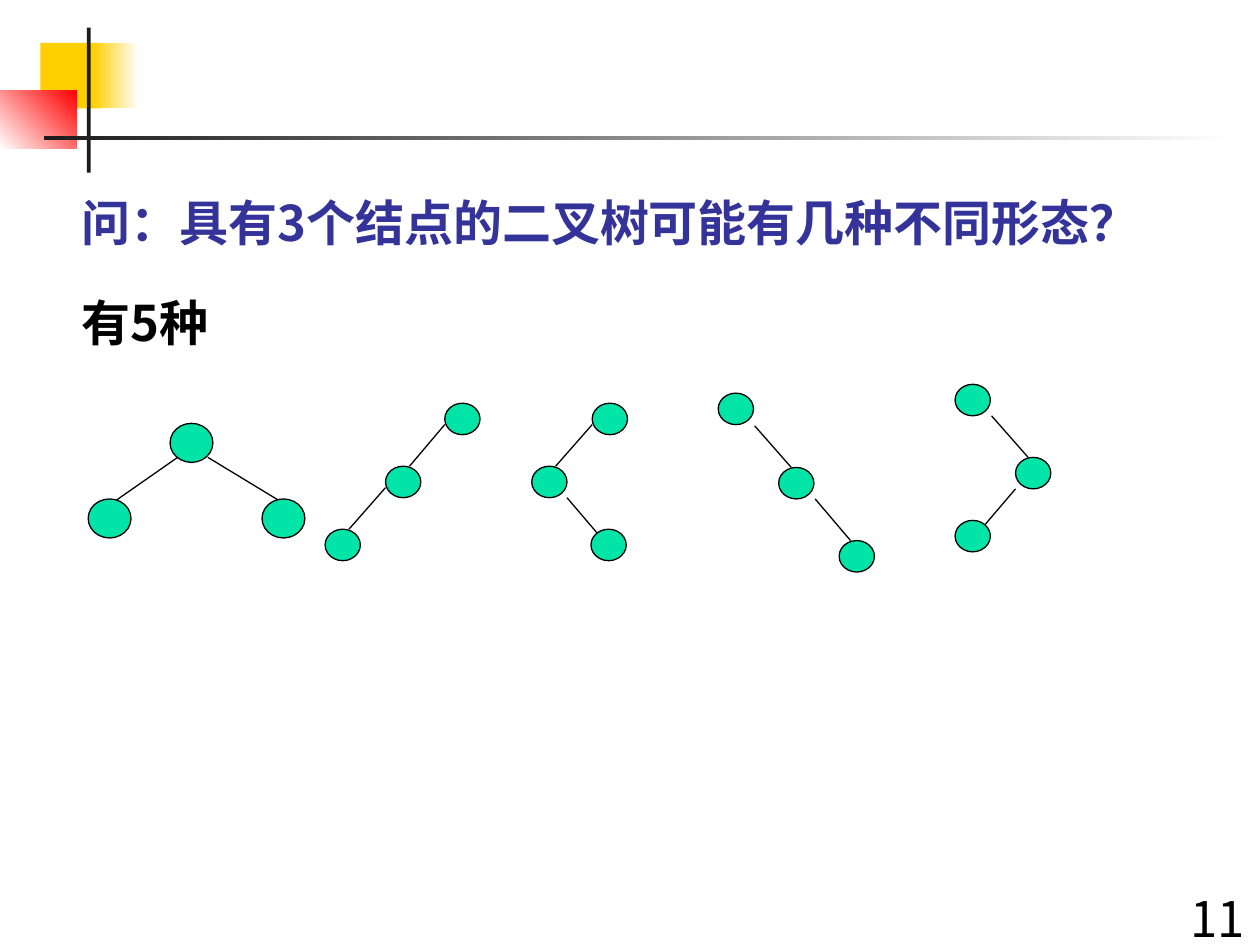
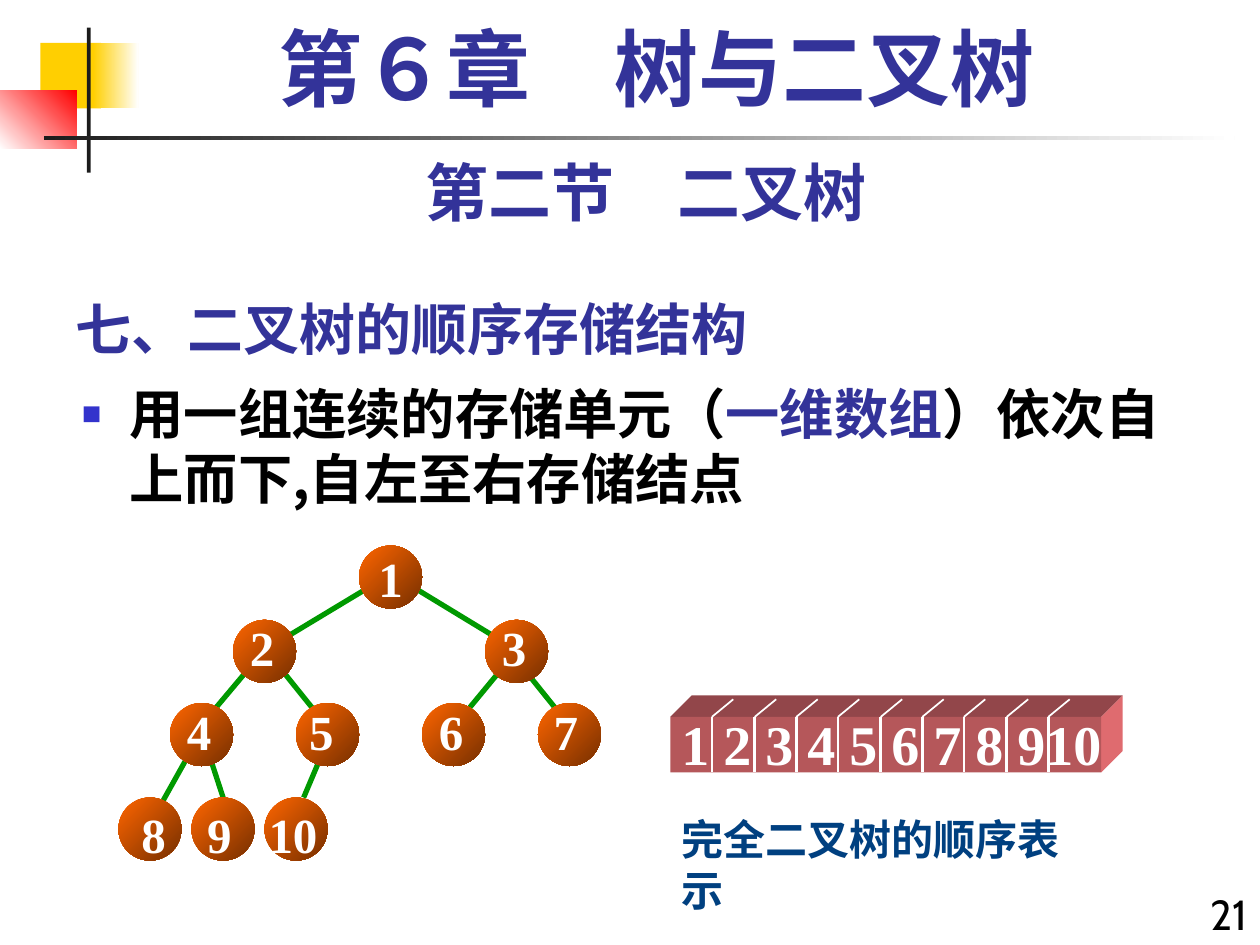
from lxml import etree
from pptx import Presentation
from pptx.dml.color import RGBColor
from pptx.enum.shapes import MSO_CONNECTOR, MSO_SHAPE
from pptx.enum.text import MSO_ANCHOR, MSO_AUTO_SIZE, PP_ALIGN
from pptx.oxml.ns import qn
from pptx.util import Pt

PX = 9144
RECTANGLE, OVAL = MSO_SHAPE.RECTANGLE, MSO_SHAPE.OVAL
STRAIGHT = MSO_CONNECTOR.STRAIGHT
TOP, MIDDLE, BOTTOM = MSO_ANCHOR.TOP, MSO_ANCHOR.MIDDLE, MSO_ANCHOR.BOTTOM
LEFT, CENTER, RIGHT = PP_ALIGN.LEFT, PP_ALIGN.CENTER, PP_ALIGN.RIGHT
FIXED, GROW = MSO_AUTO_SIZE.NONE, MSO_AUTO_SIZE.SHAPE_TO_FIT_TEXT
CJK, SERIF, SANS = "Noto Sans CJK SC", "Times New Roman", "Cabin"

COLORS = {
    "black": "000000", "white": "FFFFFF", "ink": "1C1C1C",
    "yellow": "FFCF01", "red": "FF0000", "indigo": "333399",
    "bullet": "3333CC", "caption": "004080", "mint": "00E4A8",
    "edge": "009900", "orange": "FF6600", "brown": "762F00",
    "array_front": "B5575A", "array_top": "92464A", "array_side": "DF6B6F",
}

MASTER_BANDS = [
    ((32, 34, 48, 52), "yellow", 0),
    ((74, 34, 36, 52), ("yellow", "white"), 0),
    ((0, 72, 61, 46), ("white", "red"), 45),
    ((69, 22, 3, 115), "ink", 0),
    ((35, 108, 945, 3), ("ink", "white"), 0),
]

QUESTION = "问：具有3个结点的二叉树可能有几种不同形态？"
ANSWER = "有5种"
TREE_SHAPES = [
    {"size": (34, 31), "nodes": [(135, 336), (70, 396), (208, 396)],
     "edges": [(141, 363, 88, 400), (165, 363, 221, 397)]},
    {"size": (28, 25), "nodes": [(353, 320), (306, 370), (258, 420)],
     "edges": [(353, 337, 325, 370), (306, 387, 277, 420)]},
    {"size": (28, 25), "nodes": [(470, 320), (422, 370), (469, 420)],
     "edges": [(470, 337, 441, 370), (450, 395, 479, 429)]},
    {"size": (28, 25), "nodes": [(570, 312), (618, 371), (666, 429)],
     "edges": [(599, 338, 628, 371), (647, 396, 675, 429)]},
    {"size": (28, 25), "nodes": [(758, 305), (806, 363), (758, 413)],
     "edges": [(787, 330, 816, 363), (806, 388, 777, 422)]},
]

CHAPTER = "第６章　树与二叉树"
SECTION = "第二节　二叉树"
TOPIC = "七、二叉树的顺序存储结构"
EXPLANATION = [
    ("用一组连续的存储单元（", "black"),
    ("一维数组", "indigo"),
    ("）依次自上而下,自左至右存储结点", "black"),
]
NODE_SIZE = 50
NUMBERED_NODES = [
    ("1", (285, 433), (290, 430)),
    ("2", (185, 492), (188, 485)),
    ("3", (385, 492), (388, 485)),
    ("4", (135, 558), (138, 552)),
    ("5", (235, 558), (235, 552)),
    ("6", (335, 558), (338, 552)),
    ("7", (427, 558), (429, 552)),
    ("8", (94, 633), (102, 633)),
    ("9", (152, 633), (154, 633)),
    ("10", (210, 633), (203, 633)),
]
NUMBERED_EDGES = [
    (298, 463, 215, 513), (323, 463, 402, 511),
    (198, 530, 156, 580), (215, 521, 252, 567),
    (403, 525, 365, 571), (415, 530, 448, 571),
    (156, 588, 128, 638), (165, 596, 180, 642),
    (260, 588, 241, 633),
]
ARRAY_TEXT = "1 2 3 4 5 6 7 8 910"
ARRAY = (532, 569, 342, 44)
ARRAY_CELLS = 10
CELL_PITCH = 100 / 3
ARRAY_DEPTH = 17
CAPTION = "完全二叉树的顺序表示"


def emu(*lengths):
    return [round(length * PX) for length in lengths]


def rgb(name):
    return RGBColor.from_string(COLORS[name])


def paint(shape, fill, angle=0, outline=None):
    shape.shadow.inherit = False
    if isinstance(fill, tuple):
        shape.fill.gradient()
        shape.fill.gradient_angle = angle
        for stop, name in zip(shape.fill.gradient_stops, fill):
            stop.color.rgb = rgb(name)
    else:
        shape.fill.solid()
        shape.fill.fore_color.rgb = rgb(fill)
    if outline:
        shape.line.color.rgb = rgb(outline)
        shape.line.width = Pt(0.75)
    else:
        shape.line.fill.background()


def add_block(shapes, kind, place, fill, angle=0, outline=None):
    block = shapes.add_shape(kind, *emu(*place))
    paint(block, fill, angle, outline)
    return block


def add_line(shapes, ends, color, width):
    line = shapes.add_connector(STRAIGHT, *emu(*ends))
    line.line.color.rgb = rgb(color)
    line.line.width = Pt(width)
    etree.SubElement(line.element.spPr, qn("a:effectLst"))


def add_face(shapes, points, fill):
    builder = shapes.build_freeform(*points[0], scale=PX)
    builder.add_line_segments(points[1:], close=True)
    paint(builder.convert_to_shape(), fill)


def write(box, spans, size, font=CJK, bold=True, align=LEFT, anchor=TOP,
          wrap=True, spacing=1.0):
    frame = box.text_frame
    frame.word_wrap = wrap
    frame.auto_size = FIXED if wrap else GROW
    frame.vertical_anchor = anchor
    para = frame.paragraphs[0]
    para.alignment = align
    para.space_before = Pt(0)
    para.line_spacing = spacing
    for text, color in spans:
        span = para.add_run()
        span.text = text
        span.font.size = Pt(size)
        span.font.bold = bold
        span.font.name = font
        span.font.color.rgb = rgb(color)
        properties = span._r.get_or_add_rPr()
        etree.SubElement(properties, qn("a:ea"), typeface=CJK)


def add_text(shapes, place, text, color, size, **style):
    box = shapes.add_textbox(*emu(*place))
    write(box, [(text, color)], size, **style)


def fill_placeholder(box, place, spans, size, **style):
    box.left, box.top, box.width, box.height = emu(*place)
    write(box, spans, size, **style)


def add_bullet(para, indent):
    properties = para._p.get_or_add_pPr()
    properties.set("marL", str(indent * PX))
    properties.set("indent", str(-indent * PX))
    color = etree.SubElement(properties, qn("a:buClr"))
    etree.SubElement(color, qn("a:srgbClr"), val=COLORS["bullet"])
    etree.SubElement(properties, qn("a:buSzPct"), val="60000")
    etree.SubElement(properties, qn("a:buChar"), char="■")


def decorate_master(deck, slide):
    tree = deck.slide_master.shapes.element
    for number, (place, fill, angle) in enumerate(MASTER_BANDS):
        band = add_block(slide.shapes, RECTANGLE, place, fill, angle)
        band.element.nvSpPr.cNvPr.set("id", str(101 + number))
        tree.insert(2 + number, band.element)


def build_question(slide):
    fill_placeholder(slide.shapes.title, (55, 148, 870, 57),
                     [(QUESTION, "indigo")], 28)
    add_text(slide.shapes, (55, 227, 134, 57), ANSWER, "black", 28)
    for tree in TREE_SHAPES:
        group = slide.shapes.add_group_shape().shapes
        for ends in tree["edges"]:
            add_line(group, ends, "black", 0.75)
        for corner in tree["nodes"]:
            add_block(group, OVAL, corner + tree["size"], "mint", outline="black")
    add_text(slide.shapes, (935, 700, 74, 50), "11", "black", 28, bold=False)


def draw_numbered_tree(slide):
    group = slide.shapes.add_group_shape().shapes
    for ends in NUMBERED_EDGES:
        add_line(group, ends, "edge", 3)
    for label, corner, label_corner in NUMBERED_NODES:
        add_block(group, OVAL, corner + (NODE_SIZE, NODE_SIZE),
                  ("orange", "brown"), angle=315)
        label_width = 40 if len(label) == 1 else 59
        add_text(group, label_corner + (label_width, 57), label, "white", 28,
                 font=SERIF, align=CENTER, anchor=MIDDLE, wrap=False)


def draw_array(slide):
    group = slide.shapes.add_group_shape().shapes
    left, top, width, height = ARRAY
    right, bottom = left + width, top + height
    back_top, back_right = top - ARRAY_DEPTH, right + ARRAY_DEPTH
    add_face(group, [(left, top), (left + ARRAY_DEPTH, back_top),
                     (back_right, back_top), (right, top)], "array_top")
    add_face(group, [(right, top), (back_right, back_top),
                     (back_right, bottom - ARRAY_DEPTH), (right, bottom)],
             "array_side")
    add_block(group, RECTANGLE, ARRAY, "array_front")
    for cell in range(1, ARRAY_CELLS):
        x = round(left + cell * CELL_PITCH)
        add_line(group, (x, top, x, bottom), "white", 1.5)
        add_line(group, (x, top, x + ARRAY_DEPTH, top - 14), "white", 1)
    add_text(group, (531, 558, 390, 63), ARRAY_TEXT, "white", 32,
             font=SERIF, anchor=MIDDLE)


def build_storage(slide):
    fill_placeholder(slide.shapes.title, (50, 217, 625, 75),
                     [(TOPIC, "indigo")], 32, anchor=BOTTOM)
    body = slide.placeholders[1]
    add_bullet(body.text_frame.paragraphs[0], 38)
    fill_placeholder(body, (55, 297, 891, 168), EXPLANATION, 31)
    add_text(slide.shapes, (67, 17, 908, 83), CHAPTER, "indigo", 48,
             font=SERIF, align=CENTER, spacing=0.9)
    add_text(slide.shapes, (50, 117, 925, 70), SECTION, "indigo", 36,
             font=SANS, align=CENTER)
    add_text(slide.shapes, (531, 641, 340, 50), CAPTION, "caption", 24)
    draw_array(slide)
    draw_numbered_tree(slide)
    add_text(slide.shapes, (933, 700, 67, 50), "21", "black", 24,
             font=SANS, bold=False, align=RIGHT)


def main():
    deck = Presentation()
    deck.slide_width, deck.slide_height = emu(1000, 750)
    question = deck.slides.add_slide(deck.slide_layouts[5])
    storage = deck.slides.add_slide(deck.slide_layouts[1])
    decorate_master(deck, question)
    build_question(question)
    build_storage(storage)
    deck.save("out.pptx")


if __name__ == "__main__":
    main()
